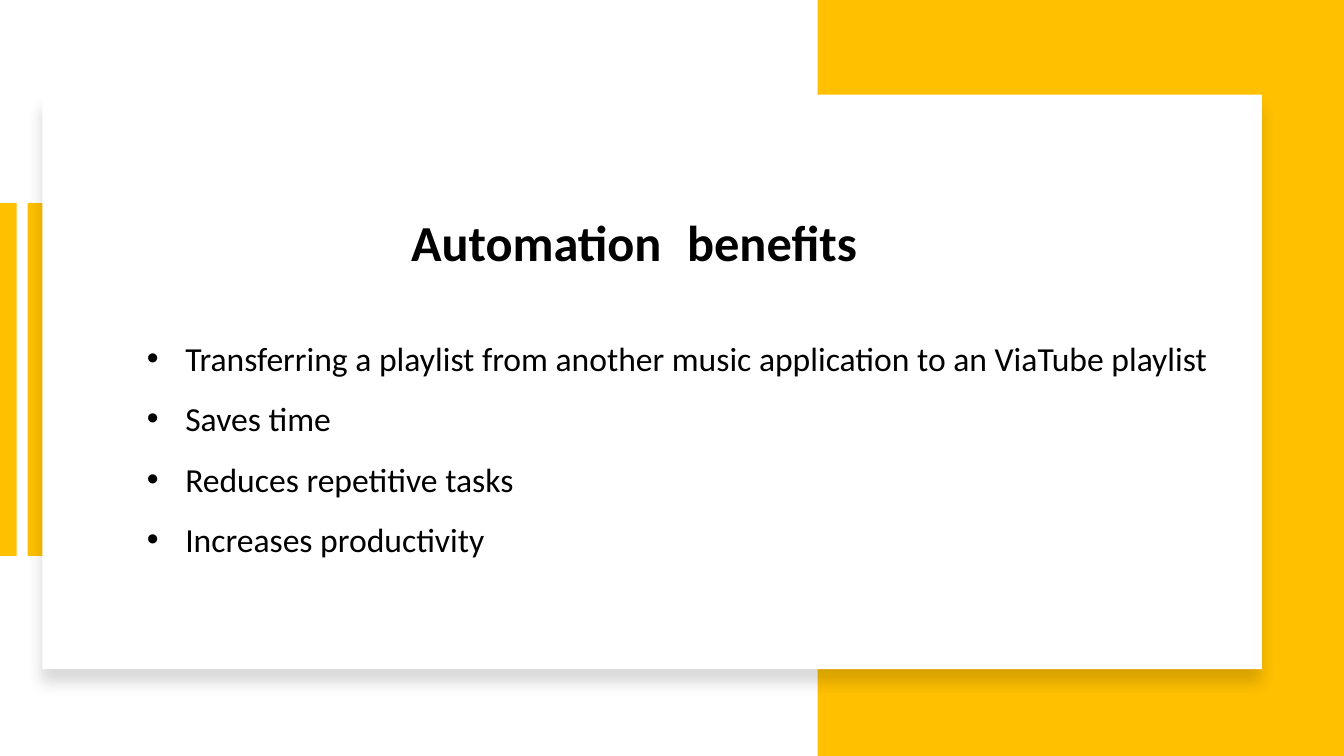
"""Build the automation benefits slide: a white card over yellow blocks."""
from lxml import etree
from pptx import Presentation
from pptx import util as u
from pptx.dml.color import RGBColor
from pptx.enum import shapes, text
from pptx.oxml import ns

YELLOW, WHITE, BLACK = "FFC000", "FFFFFF", "000000"
BENEFITS = [
    "Transferring a playlist from another music application to an ViaTube playlist",
    "Saves time",
    "Reduces repetitive tasks",
    "Increases productivity",
]

deck = Presentation()
deck.slide_width, deck.slide_height = u.Inches(13.333), u.Inches(7.5)
slide = deck.slides.add_slide(deck.slide_layouts[6])


def place(left, top, width, height):
    """Turn percentages of the slide into lengths."""
    sides = (deck.slide_width, deck.slide_height) * 2
    return [int(side * share / 100) for side, share in zip(sides, (left, top, width, height))]


def paint(target, colour):
    """Give a fill or a font a solid hex colour."""
    if hasattr(target, "solid"):
        target.solid()
        target.fore_color.rgb = RGBColor.from_string(colour)
    else:
        target.color.rgb = RGBColor.from_string(colour)


blocks = [
    ((0, 26.87, 1.25, 46.67), YELLOW),
    ((2.06, 26.87, 1.28, 46.67), YELLOW),
    ((60.83, 0, 39.17, 100), YELLOW),
    ((3.15, 12.53, 90.75, 76), WHITE),
]
for area, colour in blocks:
    card = slide.shapes.add_shape(shapes.MSO_SHAPE.RECTANGLE, *place(*area))
    card.shadow.inherit = False
    paint(card.fill, colour)
    card.line.fill.background()

effects = card._element.spPr.find(ns.qn("a:effectLst"))
shadow = etree.SubElement(effects, ns.qn("a:outerShdw"), blurRad=str(u.Pt(11)),
                          dist=str(u.Pt(10)), dir=str(90 * 60000), algn="t", rotWithShape="0")
tint = etree.SubElement(shadow, ns.qn("a:srgbClr"), val=BLACK)
etree.SubElement(tint, ns.qn("a:alpha"), val="15000")

title = slide.shapes.add_textbox(*place(6.53, 20.53, 81.3, 20.93)).text_frame
title.word_wrap = True
title.vertical_anchor = text.MSO_ANCHOR.TOP
title.margin_top = u.Inches(0.09)
heading = title.paragraphs[0]
heading.alignment = text.PP_ALIGN.CENTER
heading.line_spacing = 0.9
for words, size in (("Automation", 36), (" ", 80), ("benefits", 36)):
    run = heading.add_run()
    run.text = words
    run.font.name, run.font.size, run.font.bold = "Calibri", u.Pt(size), True
    paint(run.font, BLACK)

benefits = slide.shapes.add_textbox(*place(10.2, 41.33, 89.25, 32.8)).text_frame
benefits.word_wrap = True
benefits.text = "\n".join(BENEFITS)
indent = u.Inches(0.38)
for benefit in benefits.paragraphs:
    benefit.line_spacing = 1.5
    layout = benefit._p.get_or_add_pPr()
    layout.set("marL", str(indent))
    layout.set("indent", str(-indent))
    etree.SubElement(layout, ns.qn("a:buFont"), typeface="Arial")
    etree.SubElement(layout, ns.qn("a:buChar"), char="•")
    for run in benefit.runs:
        run.font.name, run.font.size = "Calibri", u.Pt(24)
        paint(run.font, BLACK)

deck.save("out.pptx")
